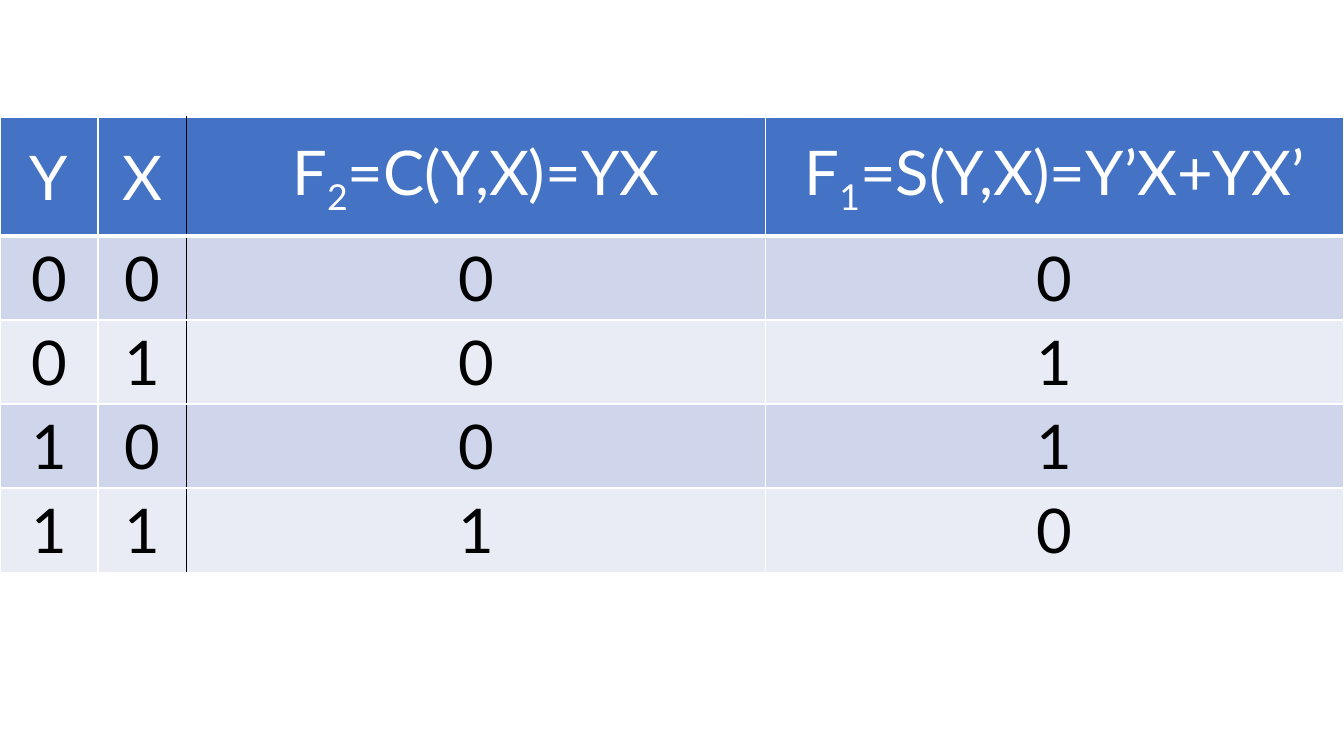
from lxml.etree import SubElement
from pptx import Presentation
from pptx.dml.color import RGBColor
from pptx.enum.text import MSO_ANCHOR, PP_ALIGN
from pptx.oxml.ns import qn
from pptx.util import Pt

WHITE = RGBColor(0xFF, 0xFF, 0xFF)
BLACK = RGBColor(0x00, 0x00, 0x00)
HEADER_BLUE = RGBColor(0x44, 0x72, 0xC4)
BAND_DARK = RGBColor(0xCF, 0xD5, 0xEA)
BAND_LIGHT = RGBColor(0xE9, 0xEB, 0xF5)

COLUMN_WIDTHS = [70, 63.4, 413.3, 413.3]
HEADER_HEIGHT = 85
ROW_HEIGHT = 60
TABLE_TOP = 83.5
INPUT_COUNT = 2

# Each cell is a list of runs; the second run of a function name is its subscript.
HEADER = [["Y"], ["X"], ["F", "2", "=C(Y,X)=YX"], ["F", "1", "=S(Y,X)=Y’X+YX’"]]
TRUTH_ROWS = [
    [[str(value)] for value in (y, x, y & x, y ^ x)]
    for y in (0, 1) for x in (0, 1)
]


class TruthTableSlide:
    font_format = {"name": "Lato", "size": Pt(44), "bold": False}

    def __init__(self, presentation):
        self.slide = presentation.slides.add_slide(presentation.slide_layouts[6])

    def add_table(self, rows):
        heights = [HEADER_HEIGHT] + [ROW_HEIGHT] * (len(rows) - 1)
        table = self.slide.shapes.add_table(
            len(rows), len(COLUMN_WIDTHS), Pt(0), Pt(TABLE_TOP),
            Pt(sum(COLUMN_WIDTHS)), Pt(sum(heights))).table
        for column, width in zip(table.columns, COLUMN_WIDTHS):
            column.width = Pt(width)
        for row, height in zip(table.rows, heights):
            row.height = Pt(height)
        for row_index, row in enumerate(rows):
            for column_index, runs in enumerate(row):
                cell = table.cell(row_index, column_index)
                self.add_borders(cell, row_index, column_index)
                self.fill_cell(cell, row_index)
                self.write_cell(cell, runs, BLACK if row_index else WHITE)

    def add_borders(self, cell, row_index, column_index):
        """Rule the cell in white, with black between inputs and functions."""
        borders = {
            "a:lnL": (BLACK if column_index == INPUT_COUNT else WHITE, 1),
            "a:lnR": (BLACK if column_index == INPUT_COUNT - 1 else WHITE, 1),
            "a:lnT": (WHITE, 3 if row_index == 1 else 1),
            "a:lnB": (WHITE, 3 if row_index == 0 else 1),
        }
        properties = cell._tc.get_or_add_tcPr()
        for tag, (color, width) in borders.items():
            line = SubElement(properties, qn(tag), w=str(Pt(width)))
            fill = SubElement(line, qn("a:solidFill"))
            SubElement(fill, qn("a:srgbClr"), val=str(color))

    def fill_cell(self, cell, row_index):
        band = BAND_DARK if row_index % 2 else BAND_LIGHT
        cell.fill.solid()
        cell.fill.fore_color.rgb = band if row_index else HEADER_BLUE

    def write_cell(self, cell, runs, color):
        cell.vertical_anchor = MSO_ANCHOR.MIDDLE
        paragraph = cell.text_frame.paragraphs[0]
        paragraph.alignment = PP_ALIGN.CENTER
        for run_index, text in enumerate(runs):
            run = paragraph.add_run()
            run.text = text
            for attribute, value in self.font_format.items():
                setattr(run.font, attribute, value)
            run.font.color.rgb = color
            if run_index == 1:
                run.font._element.set("baseline", "-25000")


def main():
    presentation = Presentation()
    presentation.slide_width = Pt(960)
    presentation.slide_height = Pt(540)
    TruthTableSlide(presentation).add_table([HEADER] + TRUTH_ROWS)
    presentation.save("out.pptx")


if __name__ == "__main__":
    main()
